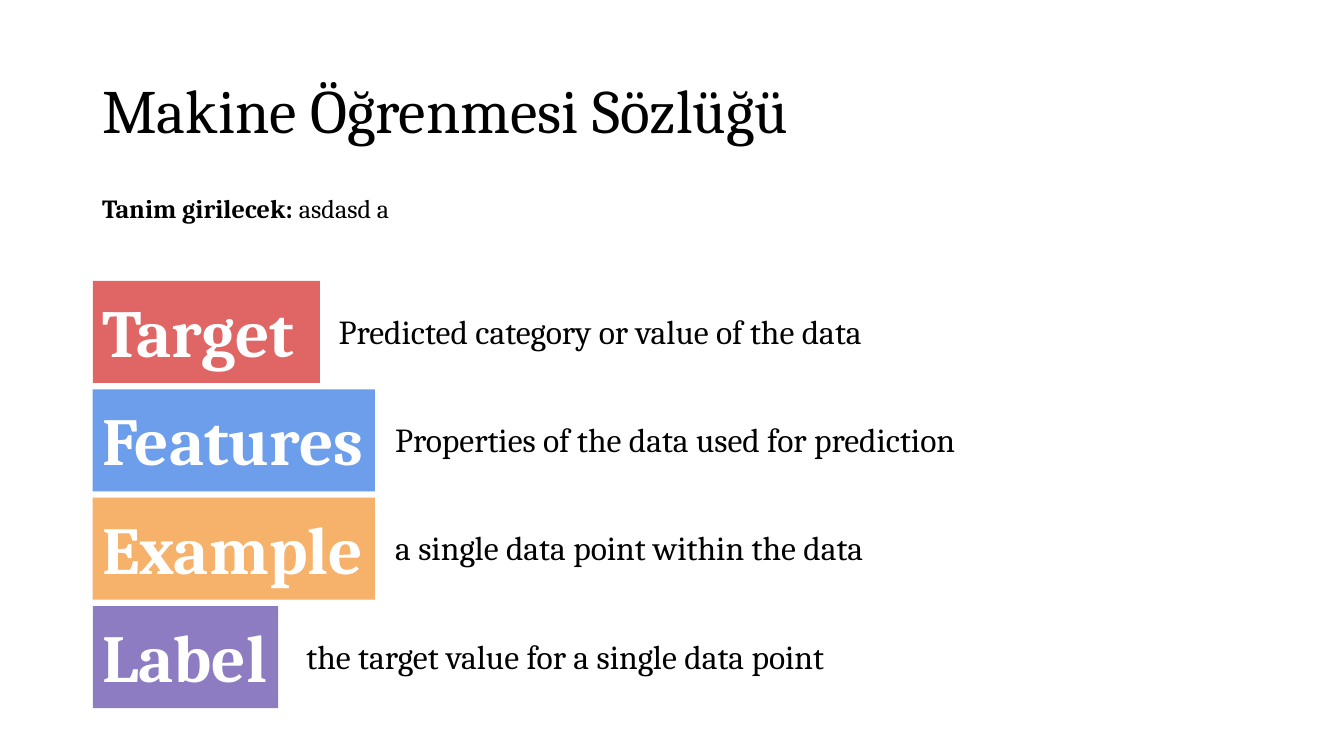
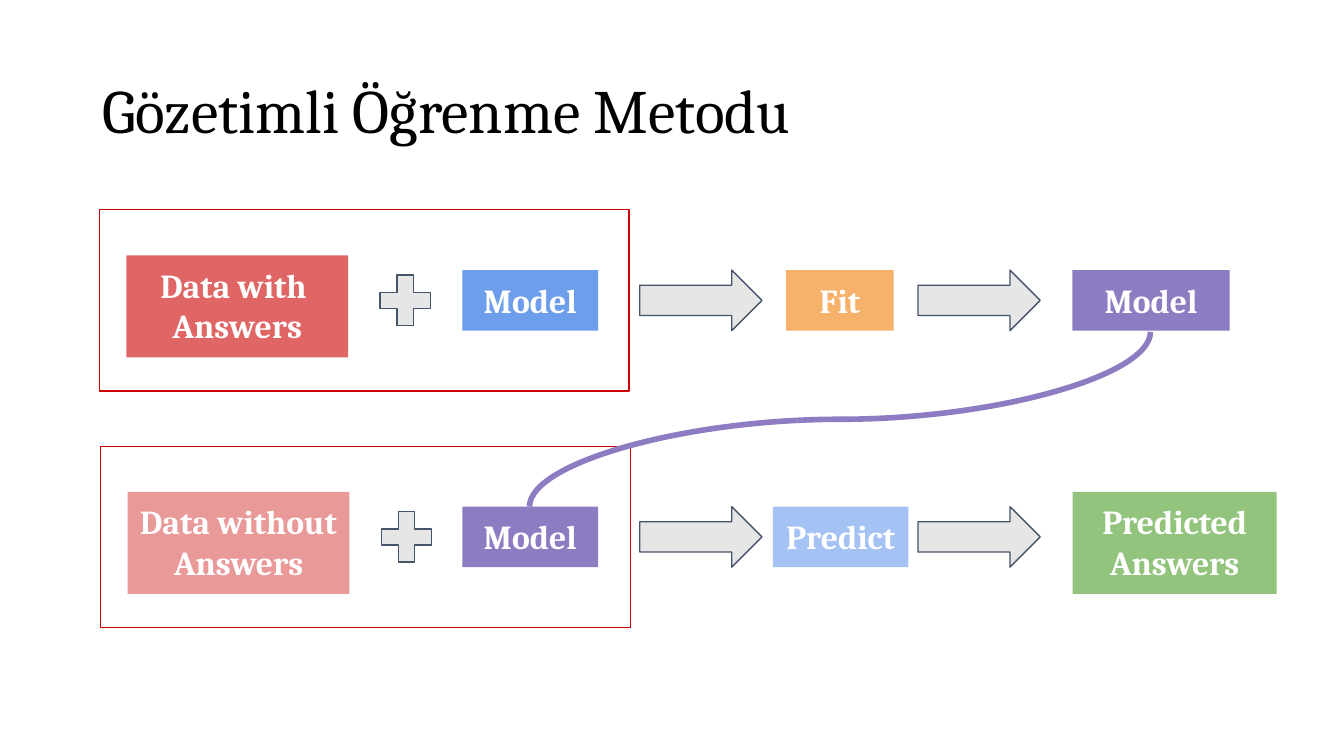
from pptx import Presentation
from pptx.dml.color import RGBColor as RGB
from pptx.enum.shapes import MSO_CONNECTOR as CONN, MSO_SHAPE as SHAPE
from pptx.enum.text import MSO_ANCHOR as ANCHOR, MSO_AUTO_SIZE as AUTO, PP_ALIGN as ALIGN
from pptx.oxml.ns import qn
from pptx.util import Inches, Pt
from lxml import etree

THEME = {
    "black": "000000", "white": "FFFFFF", "red": "E06666", "blue": "6D9EEB",
    "orange": "F6B26B", "purple": "8E7CC3", "pale_red": "EA9999",
    "pale_blue": "A4C2F4", "green": "93C47D", "grey": "E7E6E6",
    "slate": "44546A", "frame": "CC0000",
    "title": {"name": "Cambria", "size": Pt(33), "bold": False},
    "body": {"name": "Cambria", "size": Pt(14), "bold": False},
    "lead": {"name": "Cambria", "size": Pt(14), "bold": True},
    "definition": {"name": "Cambria", "size": Pt(18), "bold": False},
    "term": {"name": "Cambria", "size": Pt(36), "bold": True},
    "step": {"name": "Cambria", "size": Pt(18), "bold": True},
}


def write(sp, lines, color, align=ALIGN.LEFT, pad=0.07, anchor=ANCHOR.TOP, auto=AUTO.SHAPE_TO_FIT_TEXT):
    """Fill a shape with lines, each a list of (text, style) runs."""
    tf = sp.text_frame
    frame_format = {
        "word_wrap": True, "auto_size": auto, "vertical_anchor": anchor,
        "margin_left": Inches(0.07), "margin_right": Inches(0.07),
        "margin_top": Inches(pad), "margin_bottom": Inches(pad),
    }
    for key, value in frame_format.items():
        setattr(tf, key, value)
    for i, runs in enumerate(lines):
        p = tf.paragraphs[0] if i == 0 else tf.add_paragraph()
        p.alignment = align
        for text, style in runs:
            r = p.add_run()
            r.text = text
            for key, value in THEME[style].items():
                setattr(r.font, key, value)
            r.font.color.rgb = RGB.from_string(THEME[color])


def add_block(s, kind, x, y, w, h, fill=None, line=None):
    sp = s.shapes.add_shape(kind, Inches(x), Inches(y), Inches(w), Inches(h))
    sp.shadow.inherit = False
    if fill:
        sp.fill.solid()
        sp.fill.fore_color.rgb = RGB.from_string(THEME[fill])
    else:
        sp.fill.background()
    if line:
        sp.line.color.rgb = RGB.from_string(THEME[line])
        sp.line.width = Pt(0.75)
    else:
        sp.line.fill.background()
    return sp


# Widescreen 16:9
prs = Presentation()
prs.slide_width = Inches(10)
prs.slide_height = Inches(10) * 9 // 16

# Slides and their titles
slides = []
for text in ("Makine Öğrenmesi Sözlüğü", "Gözetimli Öğrenme Metodu"):
    s = prs.slides.add_slide(prs.slide_layouts[5])
    title = s.shapes.title
    title.left, title.top = Inches(0.69), Inches(0.3)
    title.width, title.height = Inches(8.62), Inches(1.09)
    write(title, [[(text, "title")]], "black", pad=0.04, anchor=ANCHOR.MIDDLE, auto=AUTO.NONE)
    title.text_frame.paragraphs[0].line_spacing = 0.9
    slides.append(s)
glossary, method = slides

# Glossary: introduction
intro = glossary.shapes.add_textbox(Inches(0.69), Inches(1.39), Inches(8.62), Inches(0.31))
write(intro, [[("Tanim girilecek: ", "lead"), ("asdasd a", "body")]], "black", pad=0.04)

# Glossary: coloured terms with definitions
terms = [
    ("Target", "red", 1.69, 2.45, "Predicted category or value of the data"),
    ("Features", "blue", 2.1, 2.87, "Properties of the data used for prediction"),
    ("Example", "orange", 2.1, 2.87, "a single data point within the data"),
    ("Label", "purple", 1.38, 2.21, "the target value for a single data point"),
]
for i, (term, color, width, text_x, definition) in enumerate(terms):
    y = 2.09 + i * 2.42 / 3
    sp = add_block(glossary, SHAPE.RECTANGLE, 0.69, y, width, 0.76, color)
    write(sp, [[(term, "term")]], "white")
    tb = glossary.shapes.add_textbox(Inches(text_x), Inches(y + 0.15), Inches(5.59), Inches(0.45))
    write(tb, [[(definition, "definition")]], "black")

# Method: training row and prediction row, steps as (x, width, colour, lines)
rows = [
    (0.74, 1.56, [
        (0.94, 1.65, "red", ["Data with ", "Answers"]),
        (3.44, 1.01, "blue", ["Model"]),
        (5.85, 0.8, "orange", ["Fit"]),
        (7.98, 1.17, "purple", ["Model"]),
    ]),
    (0.75, 3.32, [
        (0.95, 1.65, "pale_red", ["Data without ", "Answers"]),
        (3.44, 1.01, "purple", ["Model"]),
        (5.75, 1.01, "pale_blue", ["Predict"]),
        (7.98, 1.52, "green", ["Predicted", "Answers"]),
    ]),
]
for left, top, steps in rows:
    add_block(method, SHAPE.RECTANGLE, left, top, 3.94, 1.35, line="frame")
    add_block(method, SHAPE.MATH_PLUS, left + 2.02, top + 0.42, 0.51, 0.51, "grey", "slate")
    for x in (4.76, 6.83):
        add_block(method, SHAPE.RIGHT_ARROW, x, top + 0.45, 0.91, 0.45, "grey", "slate")
    for x, width, color, lines in steps:
        dy, height = (0.45, 0.45) if len(lines) == 1 else (0.34, 0.76)
        sp = add_block(method, SHAPE.RECTANGLE, x, top + dy, width, height, color)
        write(sp, [[(line, "step")] for line in lines], "white", ALIGN.CENTER)

# Method: curve from the fitted model to its reuse, turned to leave vertically
curve = method.shapes.add_connector(CONN.CURVE, Inches(5.6), Inches(0.81), Inches(6.9), Inches(5.43))
curve.line.color.rgb = RGB.from_string(THEME["purple"])
curve.line.width = Pt(3)
sp_pr = curve._element.spPr
sp_pr.find(qn("a:xfrm")).set("rot", str(90 * 60000))
etree.SubElement(sp_pr, qn("a:effectLst"))

prs.save("out.pptx")
